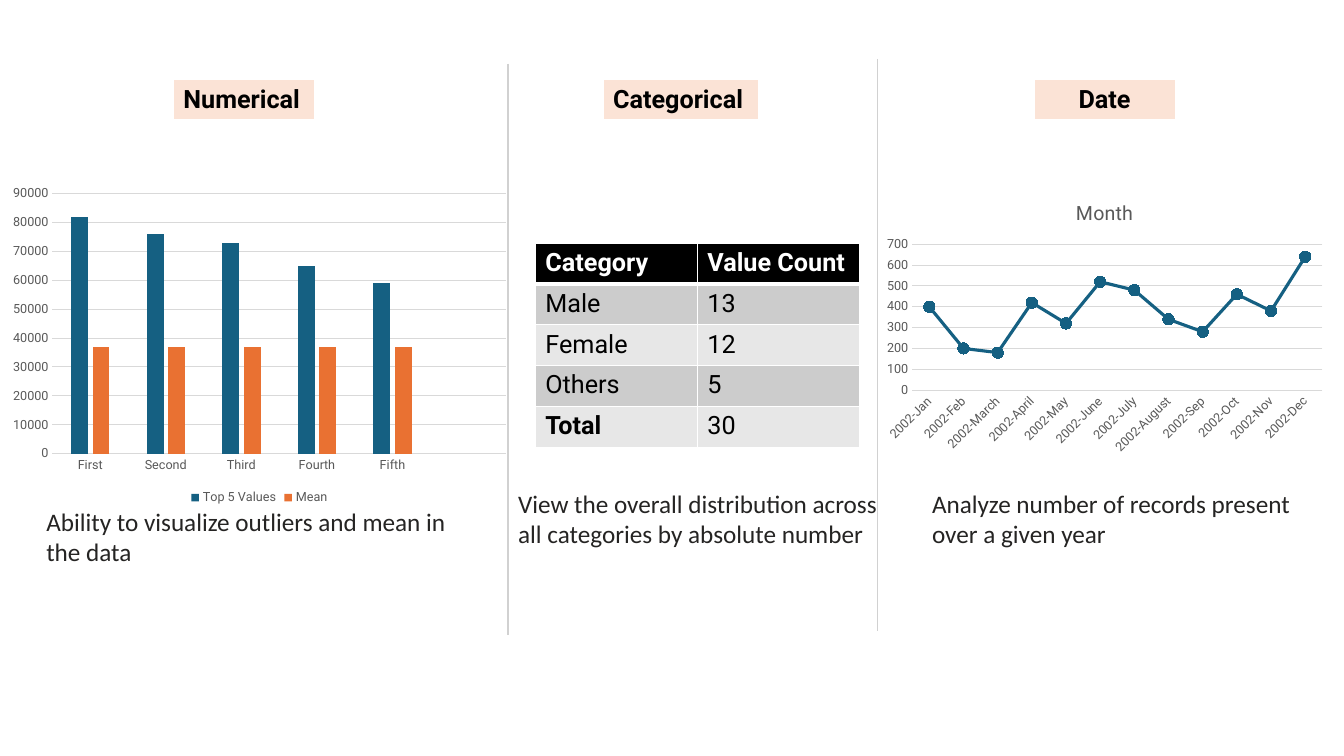
from lxml import etree
from pptx import Presentation
from pptx.chart.data import CategoryChartData
from pptx.dml.color import RGBColor
from pptx.enum.chart import XL_CHART_TYPE, XL_LEGEND_POSITION, XL_MARKER_STYLE, XL_TICK_MARK
from pptx.enum.shapes import MSO_CONNECTOR
from pptx.enum.text import MSO_AUTO_SIZE, PP_ALIGN
from pptx.oxml.ns import qn
from pptx.util import Pt

COLUMNS, LINE = XL_CHART_TYPE.COLUMN_CLUSTERED, XL_CHART_TYPE.LINE_MARKERS
LEGEND_BOTTOM = XL_LEGEND_POSITION.BOTTOM
CIRCLE, NO_TICK = XL_MARKER_STYLE.CIRCLE, XL_TICK_MARK.NONE
STRAIGHT = MSO_CONNECTOR.STRAIGHT
FIT_SHAPE = MSO_AUTO_SIZE.SHAPE_TO_FIT_TEXT
LEFT, CENTER = PP_ALIGN.LEFT, PP_ALIGN.CENTER

COLORS = {
    "black": "000000", "white": "FFFFFF", "caption": "252423", "label": "595959",
    "grid": "D9D9D9", "divider": "D1D1D1", "tag": "FBE3D6",
    "dark band": "CCCCCC", "light band": "E7E7E7",
    "blue": "156082", "orange": "E97132",
}
ROW_HEIGHT = 29.2
TAG_TOP = 56.9


def color(name):
    """Return the named colour."""
    return RGBColor.from_string(COLORS[name])


def style_font(font, size, name="Roboto", ink="black", bold=False):
    """Format a font object."""
    font.size, font.name, font.bold = Pt(size), name, bold
    font.color.rgb = color(ink)


def write(frame, text, align=LEFT, **style):
    """Put one formatted paragraph in a text frame."""
    para = frame.paragraphs[0]
    para.alignment = align
    span = para.add_run()
    span.text = text
    style_font(span.font, **style)


def border_cell(cell, bottom):
    """Give a cell white borders with the chosen bottom width."""
    properties = cell._tc.get_or_add_tcPr()
    widths = {"a:lnL": 1, "a:lnR": 1, "a:lnT": 1, "a:lnB": bottom}
    for index, (tag, width) in enumerate(widths.items()):
        line = etree.Element(qn(tag), w=str(int(Pt(width))))
        fill = etree.SubElement(line, qn("a:solidFill"))
        etree.SubElement(fill, qn("a:srgbClr"), val=COLORS["white"])
        properties.insert(index, line)


def add_grid(page, box, rows, fills, ink="black", align=LEFT):
    """Add a table whose first row is a bold heading."""
    left, top, width = box
    table = page.shapes.add_table(
        len(rows), len(rows[0]), Pt(left), Pt(top), Pt(width), Pt(ROW_HEIGHT * len(rows))
    ).table
    table.horz_banding = False
    for r, (row, fill) in enumerate(zip(rows, fills)):
        for c, text in enumerate(row):
            cell = table.cell(r, c)
            cell.fill.solid()
            cell.fill.fore_color.rgb = color(fill)
            border_cell(cell, 1 if r else 3)
            write(cell.text_frame, text, align, size=18,
                  ink="black" if r else ink, bold=r == 0 or text == "Total")


def add_tag(page, left, width, text, align=LEFT):
    """Add the shaded heading of a panel."""
    add_grid(page, (left, TAG_TOP, width), [[text]], ["tag"], align=align)


def add_caption(page, left, top, width, text):
    """Add the explanation below a panel's figure."""
    shape = page.shapes.add_textbox(Pt(left), Pt(top), Pt(width), Pt(51))
    frame = shape.text_frame
    frame.word_wrap = True
    frame.auto_size = FIT_SHAPE
    write(frame, text, size=18, name="Calibri", ink="caption")


def add_figure(page, box, kind, categories, series):
    """Add a chart with plain axes and return it."""
    data = CategoryChartData()
    data.categories = categories
    for name, values in series.items():
        data.add_series(name, values)
    chart = page.shapes.add_chart(kind, *map(Pt, box), data).chart
    style_font(chart.font, 10)
    chart.has_title = chart.has_legend = False
    chart.plots[0].vary_by_categories = False
    for axis in (chart.category_axis, chart.value_axis):
        axis.major_tick_mark = axis.minor_tick_mark = NO_TICK
        style_font(axis.tick_labels.font, 9, ink="label")
    base, grid = chart.category_axis.format.line, chart.value_axis.major_gridlines.format.line
    for line in (base, grid):
        line.color.rgb, line.width = color("grid"), Pt(0.75)
    chart.value_axis.format.line.fill.background()
    return chart


def numerical_panel(page, left, width):
    """Draw the column chart of top values against the mean."""
    add_caption(page, left + 26, 357.8, width - 50, "Ability to visualize outliers and mean in the data")
    chart = add_figure(
        page, (left + 2, 128.2, width + 3.6, 235.4), COLUMNS,
        ["First", "Second", "Third", "Fourth", "Fifth", ""],
        {"Top 5 Values": [82000, 76000, 73000, 65000, 59000, None],
         "Mean": [37000] * 5 + [None]},
    )
    plot = chart.plots[0]
    plot.gap_width, plot.overlap = 219, -27
    for series, fill in zip(plot.series, ("blue", "orange")):
        series.format.fill.solid()
        series.format.fill.fore_color.rgb = color(fill)
    chart.has_legend = True
    chart.legend.position = LEGEND_BOTTOM
    chart.legend.include_in_layout = False
    style_font(chart.legend.font, 9, ink="label")
    add_tag(page, left + 123.8, 100.8, "Numerical")


def categorical_panel(page, left, width):
    """Draw the table of counts for each category."""
    add_caption(page, left, 344.9, width + 19.4, "View the overall distribution across all categories by absolute number")
    rows = [["Category", "Value Count"], ["Male", "13"], ["Female", "12"], ["Others", "5"], ["Total", "30"]]
    fills = ["black"] + ["dark band", "light band"] * 2
    add_grid(page, (left + 19.4, 173.5, 231.4), rows, fills, ink="white")
    add_tag(page, left + 67.7, 110.9, "Categorical")


def date_panel(page, left, width):
    """Draw the line chart of records in each month."""
    add_caption(page, left + 31.7, 344.9, width - 49.3, "Analyze number of records present over a given year")
    months = "Jan Feb March April May June July August Sep Oct Nov Dec".split()
    chart = add_figure(
        page, (left, 131.8, width - 9, 197.3), LINE, [f"2002-{month}" for month in months],
        {"Month": [400, 200, 180, 420, 320, 520, 480, 340, 280, 460, 380, 640]},
    )
    chart.has_title = True
    write(chart.chart_title.text_frame, "Month", CENTER, size=14, ink="label")
    chart.category_axis._element.txPr.bodyPr.set("rot", "-2700000")
    series = chart.plots[0].series[0]
    series.smooth = False
    series.format.line.color.rgb, series.format.line.width = color("blue"), Pt(2.25)
    marker = series.marker
    marker.style, marker.size = CIRCLE, 8
    marker.format.fill.solid()
    marker.format.fill.fore_color.rgb = color("blue")
    marker.format.line.color.rgb = color("blue")
    add_tag(page, left + 111.6, 100.8, "Date", CENTER)


def add_divider(page, x, top, height):
    """Draw a vertical rule between two panels."""
    rule = page.shapes.add_connector(STRAIGHT, Pt(x), Pt(top), Pt(x), Pt(top + height))
    rule.line.color.rgb, rule.line.width = color("divider"), Pt(1)
    etree.SubElement(rule._element.spPr, qn("a:effectLst"))


def main():
    """Build and save the slide."""
    deck = Presentation()
    deck.slide_width, deck.slide_height = Pt(960), Pt(540)
    page = deck.slides.add_slide(deck.slide_layouts[6])
    first, second, right = 363, 627, 960
    numerical_panel(page, 0, first)
    categorical_panel(page, first, second - first)
    date_panel(page, second, right - second)
    add_divider(page, first, 45.4, 408.5)
    add_divider(page, second, 42, 408.5)
    deck.save("out.pptx")


if __name__ == "__main__":
    main()
